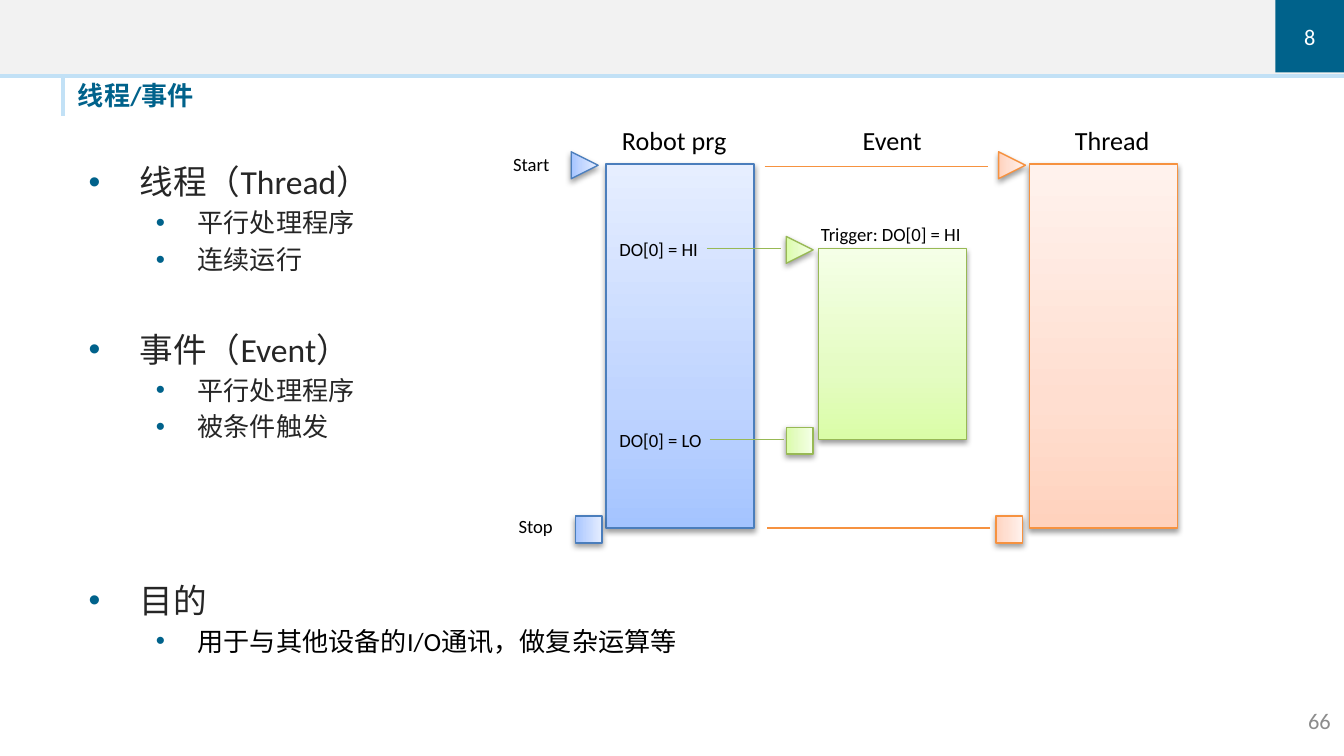
from lxml.etree import SubElement
from pptx import Presentation
from pptx.dml.color import RGBColor
from pptx.enum.shapes import MSO_CONNECTOR as Connector, MSO_SHAPE as Shape
from pptx.enum.text import MSO_ANCHOR as Anchor, MSO_AUTO_SIZE as AutoSize, PP_ALIGN as Align
from pptx.oxml import parse_xml
from pptx.oxml.ns import nsdecls, qn
from pptx.util import Inches, Pt

COLORS = {
    "black": "000000", "white": "FFFFFF", "text": "262626", "number": "8C8C8C",
    "accent": "00628B", "pale": "C2E1F6", "band": "F2F2F2",
    "blue": "4B7EBC", "orange": "F69240", "green": "98B955",
}
GRADIENTS = {
    "blue": ("A4C4FF", "BFD4FF", "E6EEFF"),
    "orange": ("FFD2BD", "FFDED0", "FFF2ED"),
    "green": ("DAFDA7", "E4FCC2", "F5FFE7"),
}
TITLE = "线程/事件"
# heading, space before in points, sub-items, sub-item colour
TOPICS = [
    ("线程（Thread）", 0, ["平行处理程序", "连续运行"], "text"),
    ("事件（Event）", 28.8, ["平行处理程序", "被条件触发"], "text"),
    ("目的", 73.6, ["用于与其他设备的I/O通讯，做复杂运算等"], "black"),
]
HEADERS = ["Robot prg", "Event", "Thread"]
HEADER_TABS = [1.79, 3.37]
COLUMN_WIDTH, MARKER = 1.1, 0.2
# colour, left, top, height, start marker (left, top), stop marker (left, top)
COLUMNS = [
    ("blue", 4.51, 1.22, 2.71, (4.25, 1.13), (4.28, 3.84)),
    ("orange", 7.66, 1.22, 2.71, (7.43, 1.13), (7.41, 3.84)),
    ("green", 6.09, 1.85, 1.42, (5.85, 1.76), (5.85, 3.18)),
]
LABELS = [
    ("DO[0] = HI", 4.51, 1.72, 1.65), ("DO[0] = LO", 4.51, 3.14, 1.65),
    ("Start", 3.72, 1.09, 0.52), ("Stop", 3.76, 3.78, 0.52),
    ("Trigger: DO[0] = HI", 6.01, 1.61, 1.26),
]
# colour, start x, end x, y
SIGNALS = [
    ("orange", 5.69, 7.35, 1.24), ("green", 5.26, 5.81, 1.85),
    ("green", 5.28, 5.83, 3.27), ("orange", 5.71, 7.37, 3.93),
]


def rgb(name):
    """Return the named colour."""
    return RGBColor.from_string(COLORS[name])


def write(paragraph, text, size=10, color="black", bold=False, align=Align.LEFT, before=0):
    """Put formatted text in a paragraph."""
    paragraph.text = text
    paragraph.alignment = align
    paragraph.space_before = Pt(before)
    for font in [paragraph.font] + [run.font for run in paragraph.runs]:
        font.name, font.size, font.bold = "Calibri", Pt(size), bold
        font.color.rgb = rgb(color)


def place(shape, left, top, width, height):
    """Move and size a shape in inches."""
    shape.left, shape.top = Inches(left), Inches(top)
    shape.width, shape.height = Inches(width), Inches(height)


def set_frame(shape, insets=(0.1, 0.05, 0.1, 0.05), anchor=Anchor.TOP):
    """Set wrapping, insets and anchor, and return the text frame."""
    frame = shape.text_frame
    frame.word_wrap, frame.auto_size, frame.vertical_anchor = True, AutoSize.NONE, anchor
    frame.margin_left, frame.margin_top, frame.margin_right, frame.margin_bottom = map(Inches, insets)
    return frame


def add_label(slide, text, left, top, width, height=0.27, anchor=Anchor.TOP, tabs=(), **style):
    """Add a text box with optional tab stops."""
    box = slide.shapes.add_textbox(*map(Inches, (left, top, width, height)))
    paragraph = set_frame(box, anchor=anchor).paragraphs[0]
    if tabs:
        stops = SubElement(paragraph._p.get_or_add_pPr(), qn("a:tabLst"))
        for position in tabs:
            SubElement(stops, qn("a:tab"), pos=str(Inches(position)), algn="l")
    write(paragraph, text, **style)


def add_block(slide, color, *position):
    """Add a plain filled rectangle."""
    shape = slide.shapes.add_shape(Shape.RECTANGLE, *map(Inches, position))
    shape.shadow.inherit = False
    shape.fill.solid()
    shape.fill.fore_color.rgb = rgb(color)
    shape.line.fill.background()
    return shape


def add_gradient_shape(slide, kind, color, *position, rotation=0):
    """Add an outlined shape with a gradient and a soft shadow."""
    shape = slide.shapes.add_shape(kind, *map(Inches, position))
    shape.rotation = rotation
    shape.line.color.rgb, shape.line.width = rgb(color), Pt(0.75)
    shape.shadow.inherit = False
    stops = "".join(
        f'<a:gs pos="{share * 1000}"><a:srgbClr val="{value}"/></a:gs>'
        for share, value in zip((0, 35, 100), GRADIENTS[color]))
    properties = shape._element.spPr
    properties.find(qn("a:prstGeom")).addnext(parse_xml(
        f'<a:gradFill {nsdecls("a")} rotWithShape="1"><a:gsLst>{stops}</a:gsLst>'
        '<a:lin ang="16200000" scaled="0"/></a:gradFill>'))
    properties.find(qn("a:effectLst")).append(parse_xml(
        f'<a:outerShdw {nsdecls("a")} blurRad="{Pt(3.1)}" dist="{Pt(1.6)}" dir="5400000" '
        'rotWithShape="0"><a:srgbClr val="000000"><a:alpha val="38000"/></a:srgbClr></a:outerShdw>'))


def add_line(slide, color, start, end, width=0.75):
    """Add a straight line without a shadow."""
    line = slide.shapes.add_connector(Connector.STRAIGHT, *map(Inches, start + end))
    line.line.color.rgb, line.line.width = rgb(color), Pt(width)
    SubElement(line._element.spPr, qn("a:effectLst"))


def add_bullet(paragraph, level, margin, indent):
    """Give a paragraph its level, indent and coloured bullet."""
    paragraph.level = level
    properties = paragraph._p.get_or_add_pPr()
    properties.set("marL", str(Inches(margin)))
    properties.set("indent", str(Inches(indent)))
    bullet_color = SubElement(properties, qn("a:buClr"))
    SubElement(bullet_color, qn("a:srgbClr"), val=COLORS["accent"])
    SubElement(properties, qn("a:buFont"), typeface="Arial")
    SubElement(properties, qn("a:buChar"), char="•")


def fill_topics(body):
    """Write the two-level list."""
    frame = set_frame(body)
    paragraph = frame.paragraphs[0]
    for index, (heading, before, items, color) in enumerate(TOPICS):
        if index:
            paragraph = frame.add_paragraph()
        add_bullet(paragraph, 0, 0.38, -0.38)
        write(paragraph, heading, size=18, color="text", before=before)
        for item in items:
            paragraph = frame.add_paragraph()
            add_bullet(paragraph, 1, 0.81, -0.31)
            write(paragraph, item, size=14, color=color, before=2.8)


def add_diagram(slide):
    """Draw the program, event and thread columns with their signals."""
    for color, left, top, height, start, stop in COLUMNS:
        add_gradient_shape(slide, Shape.RECTANGLE, color, left, top, COLUMN_WIDTH, height)
        for kind, corner in ((Shape.ISOSCELES_TRIANGLE, start), (Shape.RECTANGLE, stop)):
            add_gradient_shape(slide, kind, color, *corner, MARKER, MARKER, rotation=90)
    add_label(slide, "\t".join(HEADERS), 4.53, 0.88, 4.33, 0.34, tabs=HEADER_TABS, size=14)
    for label in LABELS:
        add_label(slide, *label)
    for color, start, end, y in SIGNALS:
        add_line(slide, color, (start, y), (end, y))


def main():
    """Build the slide and save it."""
    presentation = Presentation()
    presentation.slide_width = Inches(10)
    presentation.slide_height = Inches(10) * 9 // 16
    slide = presentation.slides.add_slide(presentation.slide_layouts[1])
    title, body = slide.placeholders
    add_block(slide, "pale", 0, 0, 10, 0.58)
    add_block(slide, "band", 0, 0, 10, 0.55)
    add_line(slide, "pale", (0.47, 0.58), (0.47, 0.86), width=2.5)
    place(title, 0.58, 0.59, 4.41, 0.28)
    write(set_frame(title, (0, 0, 0, 0.04)).paragraphs[0], TITLE, size=14, color="accent", bold=True)
    place(body, 0.56, 1.15, 8.86, 4.33)
    fill_topics(body)
    chapter = add_block(slide, "accent", 9.49, 0, 0.51, 0.54)
    write(set_frame(chapter, (0, 0, 0, 0), Anchor.MIDDLE).paragraphs[0], "8",
          size=12, color="white", align=Align.CENTER)
    add_label(slide, "66", 9, 5.21, 1, 0.3, anchor=Anchor.MIDDLE,
              size=12, color="number", align=Align.RIGHT)
    add_diagram(slide)
    presentation.save("out.pptx")


if __name__ == "__main__":
    main()
